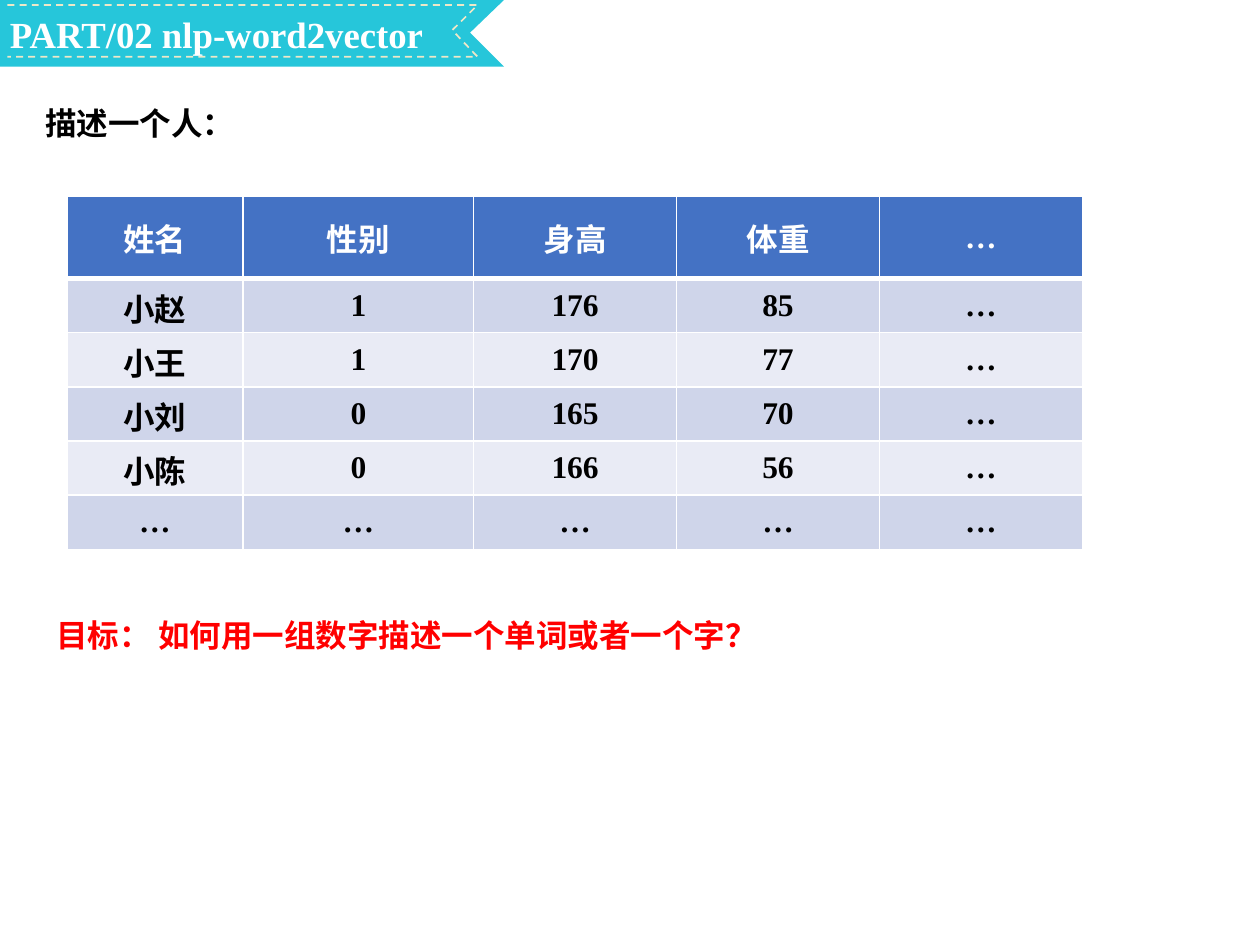
import pptx
import pptx.dml.color
import pptx.enum.dml
import pptx.enum.text
import pptx.oxml
import pptx.oxml.ns
import pptx.util

Inches = pptx.util.Inches
Pt = pptx.util.Pt

COLORS = {
    "ribbon": "26C6DA",
    "stitch": "EDE8C8",
    "white": "FFFFFF",
    "black": "000000",
    "goal": "FF0000",
    "header": "4472C4",
    "odd_row": "CFD5EA",
    "even_row": "E9EBF5",
}

PEOPLE = [
    ["姓名", "性别", "身高", "体重", "…"],
    ["小赵", "1", "176", "85", "…"],
    ["小王", "1", "170", "77", "…"],
    ["小刘", "0", "165", "70", "…"],
    ["小陈", "0", "166", "56", "…"],
    ["…"] * 5,
]
COLUMN_WIDTHS = [1.4, 1.83, 1.61, 1.61, 1.61]
ROW_HEIGHTS = [0.65] + [0.43] * 5


def rgb(color):
    return pptx.dml.color.RGBColor.from_string(COLORS[color])


def apply_format(target, values):
    for name, value in values.items():
        setattr(target, name, value)


def write_text(frame, wording, size, color):
    run = frame.paragraphs[0].add_run()
    run.text = wording
    apply_format(run.font, {"name": "Times New Roman", "size": Pt(size), "bold": True})
    run.font.color.rgb = rgb(color)


def add_label(slide, wording, box, size, color):
    label = slide.shapes.add_textbox(*map(Inches, box))
    apply_format(label.text_frame, {
        "word_wrap": False,
        "auto_size": pptx.enum.text.MSO_AUTO_SIZE.SHAPE_TO_FIT_TEXT,
    })
    write_text(label.text_frame, wording, size, color)


def add_outline(slide, points, close):
    corners = [(Inches(x), Inches(y)) for x, y in points]
    builder = slide.shapes.build_freeform(*corners[0])
    builder.add_line_segments(corners[1:], close=close)
    outline = builder.convert_to_shape()
    outline.shadow.inherit = False
    return outline


def add_ribbon(slide):
    ribbon = add_outline(
        slide, [(4, 0.53), (-0.02, 0.53), (-0.02, 0), (4, 0), (3.73, 0.26)], True)
    ribbon.fill.solid()
    ribbon.fill.fore_color.rgb = rgb("ribbon")
    ribbon.line.fill.background()

    stitch = add_outline(
        slide, [(0.06, 0.04), (3.79, 0.04), (3.59, 0.24), (3.79, 0.45), (0.06, 0.45)], False)
    stitch.fill.background()
    stitch.line.color.rgb = rgb("stitch")
    apply_format(stitch.line, {
        "width": Pt(1),
        "dash_style": pptx.enum.dml.MSO_LINE.DASH,
    })


def add_borders(cell, widths):
    properties = cell._tc.get_or_add_tcPr()
    for side, width in widths.items():
        properties.append(pptx.oxml.parse_xml(
            f'<a:ln{side} {pptx.oxml.ns.nsdecls("a")} w="{Pt(width)}">'
            f'<a:solidFill><a:srgbClr val="{COLORS["white"]}"/></a:solidFill>'
            f'</a:ln{side}>'))


def fill_cell(cell, wording, row):
    add_borders(cell, {
        "L": 1,
        "R": 1,
        "T": 3 if row == 1 else 1,
        "B": 3 if row == 0 else 1,
    })
    band = "header" if row == 0 else "odd_row" if row % 2 else "even_row"
    cell.fill.solid()
    cell.fill.fore_color.rgb = rgb(band)
    cell.vertical_anchor = pptx.enum.text.MSO_ANCHOR.MIDDLE
    cell.text_frame.paragraphs[0].alignment = pptx.enum.text.PP_ALIGN.CENTER
    write_text(cell.text_frame, wording, 18, "black" if row else "white")


def add_people_table(slide):
    people = slide.shapes.add_table(
        len(PEOPLE), len(COLUMN_WIDTHS), Inches(0.53), Inches(1.56),
        Inches(sum(COLUMN_WIDTHS)), Inches(sum(ROW_HEIGHTS))).table
    for column, width in zip(people.columns, COLUMN_WIDTHS):
        column.width = Inches(width)
    for row, height in zip(people.rows, ROW_HEIGHTS):
        row.height = Inches(height)
    for row, person in enumerate(PEOPLE):
        for column, wording in enumerate(person):
            fill_cell(people.cell(row, column), wording, row)


def main():
    deck = pptx.Presentation()
    apply_format(deck, {"slide_width": Inches(10), "slide_height": Inches(7.5)})
    slide = deck.slides.add_slide(deck.slide_layouts[6])
    add_ribbon(slide)
    add_label(slide, "PART/02 nlp-word2vector", (-0.02, 0.04, 3.55, 0.45), 21, "white")
    add_label(slide, "描述一个人：", (0.26, 0.78, 1.73, 0.4), 18, "black")
    add_label(slide, "目标： 如何用一组数字描述一个单词或者一个字？",
              (0.35, 4.84, 5.86, 0.4), 18, "goal")
    add_people_table(slide)
    deck.save("out.pptx")


main()
